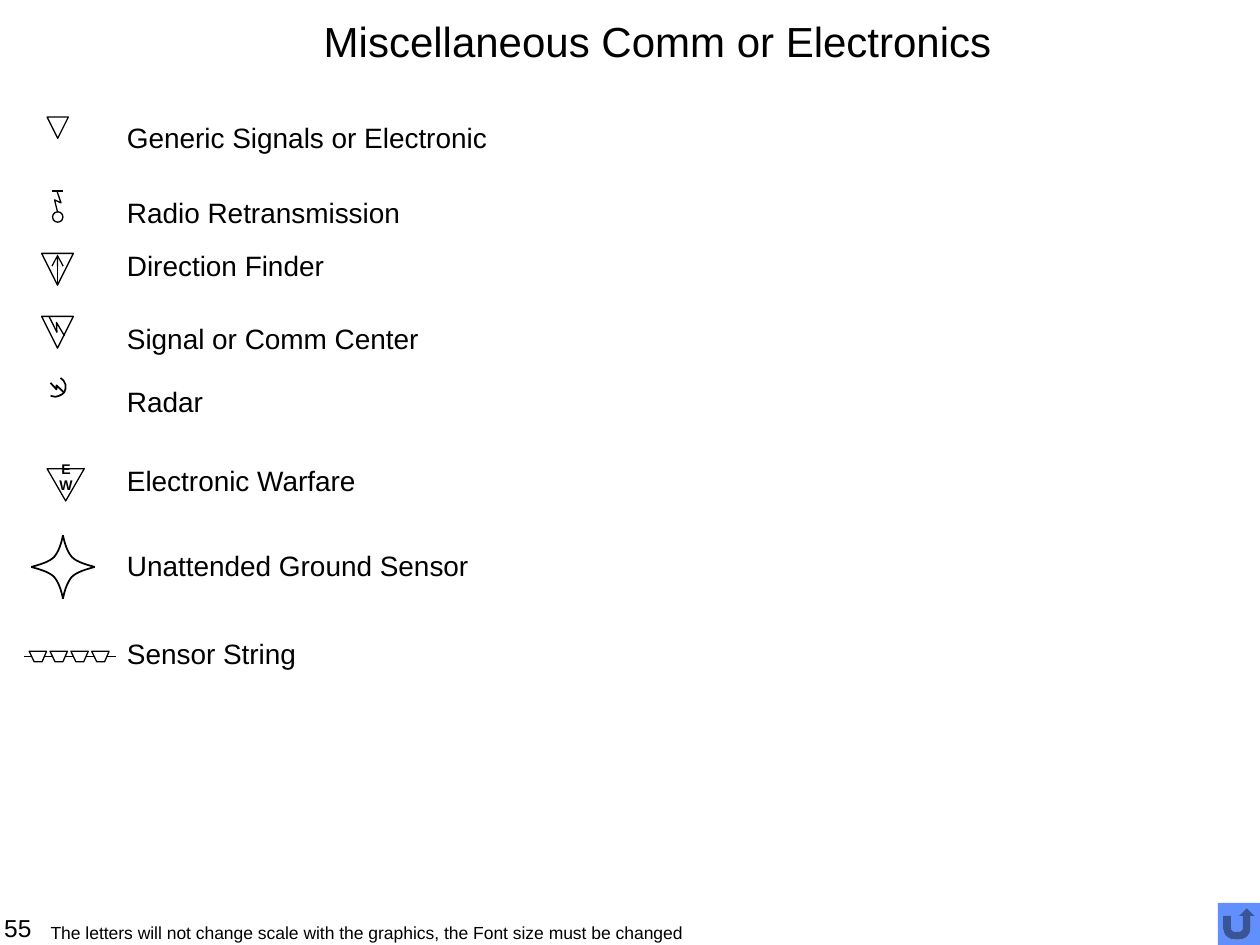
from lxml import etree
from pptx import Presentation
from pptx.dml.color import RGBColor
from pptx.enum.shapes import MSO_CONNECTOR, MSO_SHAPE
from pptx.enum.text import MSO_ANCHOR, PP_ALIGN
from pptx.oxml.ns import qn
from pptx.util import Cm, Pt

TRIANGLE = MSO_SHAPE.ISOSCELES_TRIANGLE
CIRCLE = MSO_SHAPE.OVAL
RETURN_BUTTON = MSO_SHAPE.ACTION_BUTTON_RETURN
STRAIGHT = MSO_CONNECTOR.STRAIGHT
TOP, MIDDLE = MSO_ANCHOR.TOP, MSO_ANCHOR.MIDDLE
LEFT, CENTER = PP_ALIGN.LEFT, PP_ALIGN.CENTER

COLORS = {"ink": "000000", "paper": "FFFFFF", "button": "618FFD"}
THIN, THICK = 0.75, 1


class SymbolSlide:
    """Draws the parts of one slide; all lengths are in centimetres."""

    font_name = "Arial"

    def __init__(self, presentation):
        self.slide = presentation.slides.add_slide(presentation.slide_layouts[6])
        self.shapes = self.slide.shapes

    def color(self, name):
        return RGBColor.from_string(COLORS[name])

    def style(self, shape, fill=None, line=THIN):
        shape.shadow.inherit = False
        if fill:
            shape.fill.solid()
            shape.fill.fore_color.rgb = self.color(fill)
        else:
            shape.fill.background()
        if line:
            shape.line.color.rgb = self.color("ink")
            shape.line.width = Pt(line)
        else:
            shape.line.fill.background()

    def text(self, box, words, size, align=LEFT, anchor=MIDDLE,
             wrap=True, margins=(0, 0), bold=False):
        frame = self.shapes.add_textbox(*map(Cm, box)).text_frame
        across, down = map(Cm, margins)
        frame_format = {
            "word_wrap": wrap, "vertical_anchor": anchor,
            "margin_left": across, "margin_right": across,
            "margin_top": down, "margin_bottom": down,
        }
        for name, value in frame_format.items():
            setattr(frame, name, value)
        paragraph = frame.paragraphs[0]
        paragraph.alignment = align
        run = paragraph.add_run()
        run.text = words
        font_format = {"name": self.font_name, "size": Pt(size), "bold": bold}
        for name, value in font_format.items():
            setattr(run.font, name, value)
        run.font.color.rgb = self.color("ink")

    def preset(self, kind, box, fill=None, line=THIN):
        shape = self.shapes.add_shape(kind, *map(Cm, box))
        self.style(shape, fill, line)
        return shape

    def down_triangle(self, box):
        shape = self.preset(TRIANGLE, box)
        shape._element.spPr.find(qn("a:xfrm")).set("flipV", "1")

    def line(self, start, end, arrow=False):
        connector = self.shapes.add_connector(STRAIGHT, *map(Cm, start + end))
        connector.line.color.rgb = self.color("ink")
        connector.line.width = Pt(THIN)
        properties = connector._element.spPr
        if arrow:
            tail = etree.SubElement(properties.find(qn("a:ln")), qn("a:tailEnd"))
            tail.set("type", "arrow")
        etree.SubElement(properties, qn("a:effectLst"))

    def outline(self, points, fill=None, line=THIN, close=False):
        first, *others = [(Cm(x), Cm(y)) for x, y in points]
        builder = self.shapes.build_freeform(*first)
        builder.add_line_segments(others, close=close)
        shape = builder.convert_to_shape()
        self.style(shape, fill, line)
        return shape

    def curve(self, points, line=THICK):
        """After the first point, every three points form one Bezier segment."""
        shape = self.outline(points, line=line)
        path = next(shape._element.iter(qn("a:path")))
        steps = path.findall(qn("a:lnTo"))
        for start in range(0, len(steps), 3):
            bezier = etree.SubElement(path, qn("a:cubicBezTo"))
            for step in steps[start:start + 3]:
                bezier.append(step[0])
                path.remove(step)


def main():
    presentation = Presentation()
    presentation.slide_width, presentation.slide_height = Cm(25.4), Cm(19.05)
    page = SymbolSlide(presentation)

    # Title and symbol names
    page.text((2.46, 0, 21.59, 1.63), "Miscellaneous Comm or Electronics", 24,
              align=CENTER, margins=(0.25, 0.13))
    labels = [
        (2.29, "Generic Signals or Electronic"),
        (3.81, "Radio Retransmission"),
        (4.88, "Direction Finder"),
        (6.35, "Signal or Comm Center"),
        (7.62, "Radar"),
        (9.22, "Electronic Warfare"),
        (10.92, "Unattended Ground Sensor"),
        (12.7, "Sensor String"),
    ]
    for top, words in labels:
        page.text((2.31, top, 8, 0.94), words, 16, margins=(0.25, 0.13))

    # Generic signals
    page.down_triangle((0.95, 2.36, 0.43, 0.43))

    # Radio retransmission
    page.preset(CIRCLE, (1.06, 4.27, 0.21, 0.21))
    page.line((1.05, 3.85), (1.26, 3.85))
    page.outline([(1.15, 3.85), (1.23, 4.09), (1.1, 4.03), (1.16, 4.27)])

    # Direction finder
    page.down_triangle((0.84, 5.11, 0.64, 0.64))
    page.line((1.16, 5.75), (1.16, 5.13), arrow=True)

    # Signal center
    page.down_triangle((0.84, 6.38, 0.64, 0.64))
    page.outline([(0.99, 6.38), (1.15, 6.7), (1.14, 6.5), (1.3, 6.77)])

    # Radar dish and beam
    page.outline([(1.02, 7.98), (1.12, 8), (1.19, 7.98), (1.25, 7.95), (1.3, 7.9),
                  (1.32, 7.84), (1.32, 7.75), (1.28, 7.67), (1.22, 7.62)], line=THICK)
    page.outline([(1.3, 7.92), (1.14, 7.77), (1.14, 7.85), (1.02, 7.72)], line=THICK)

    # Electronic warfare: the narrow box stacks the two letters
    page.down_triangle((0.95, 9.45, 0.75, 0.65))
    page.text((1.13, 9.45, 0.4, 0.33), "EW", 8, align=CENTER, bold=True)

    # Ground sensor: one quarter of the star, mirrored both ways
    center_x, center_y = 1.27, 11.43
    quarter = [(0, 0.64), (0.03, 0.48), (0.09, 0.3), (0.18, 0.2),
               (0.28, 0.1), (0.46, 0.05), (0.64, 0)]
    for side_x, side_y in [(1, -1), (-1, -1), (1, 1), (-1, 1)]:
        page.curve([(center_x + side_x * x, center_y + side_y * y)
                    for x, y in quarter])

    # Sensor string
    page.line((0.48, 13.23), (2.34, 13.23))
    sensor = [(0, 13.13), (0.1, 13.34), (0.26, 13.34), (0.35, 13.13)]
    for index in range(4):
        left = 0.59 + 0.42 * index
        page.outline([(left + x, y) for x, y in sensor], fill="paper", close=True)

    # Footer
    page.text((0, 18.06, 0.72, 1.27), "55", 14, align=CENTER, wrap=False)
    page.text((1.02, 18.59, 18.47, 0.43),
              "The letters will not change scale with the graphics, "
              "the Font size must be changed", 10, anchor=TOP)
    page.preset(RETURN_BUTTON, (24.55, 18.2, 0.85, 0.85), fill="button", line=None)

    presentation.save("out.pptx")


if __name__ == "__main__":
    main()
